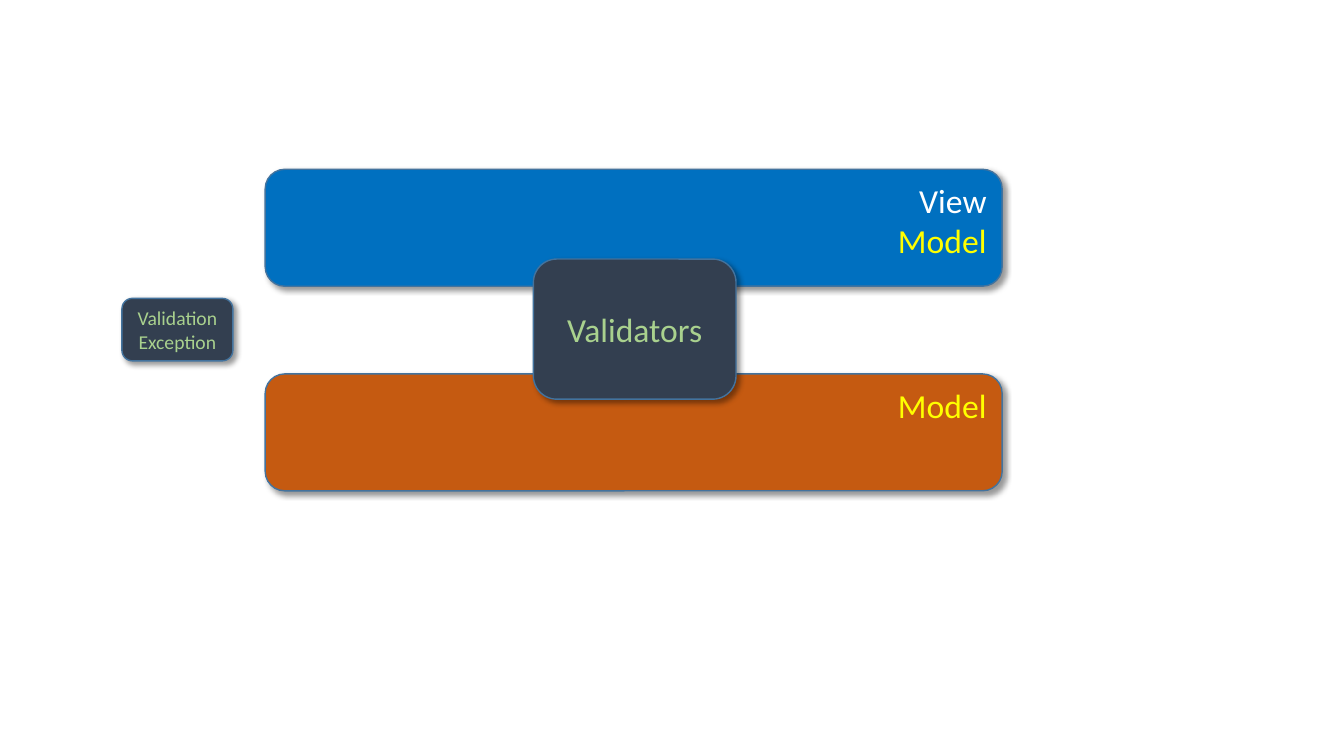
from lxml import etree
from pptx import Presentation
from pptx.dml.color import RGBColor
from pptx.enum.shapes import MSO_SHAPE
from pptx.enum.text import MSO_ANCHOR, PP_ALIGN
from pptx.oxml.ns import qn
from pptx.util import Inches, Pt

ROUNDED = MSO_SHAPE.ROUNDED_RECTANGLE
TOP, MIDDLE = MSO_ANCHOR.TOP, MSO_ANCHOR.MIDDLE
RIGHT, CENTER = PP_ALIGN.RIGHT, PP_ALIGN.CENTER

BLANK_LAYOUT = 6
FONT = "Calibri"
OUTLINE = "43739E"
WHITE, YELLOW, GREEN = "FFFFFF", "FFFF00", "A9D18E"
BLUE, ORANGE, SLATE = "0070C0", "C55A11", "333F50"

BAR_LEFT, BAR_WIDTH, BAR_HEIGHT = 2.63, 7.31, 1.16
# fill, top, lines of (text, colour)
LAYERS = [
    (ORANGE, 3.71, [("Model", YELLOW)]),
    (BLUE, 1.68, [("View", WHITE), ("Model", YELLOW)]),
]
# left, top, width, height, font size, lines
VALIDATION_BOXES = [
    (5.29, 2.57, 2.01, 1.39, 24, ["Validators"]),
    (1.21, 2.96, 1.1, 0.62, 14, ["Validation", "Exception"]),
]


def rgb(value):
    return RGBColor.from_string(value)


def add_shadow(shape):
    """Give the shape a soft black shadow towards the lower right."""
    shape.shadow.inherit = False
    effects = shape._element.spPr.find(qn("a:effectLst"))
    shadow = etree.SubElement(
        effects, qn("a:outerShdw"), blurRad=str(Pt(4)), dist=str(Pt(3)),
        dir=str(45 * 60000), algn="tl", rotWithShape="0")
    color = etree.SubElement(shadow, qn("a:srgbClr"), val="000000")
    etree.SubElement(color, qn("a:alpha"), val="40000")


def write_text(frame, lines, size=24, align=CENTER, anchor=MIDDLE):
    """Write one paragraph for each (text, colour) pair."""
    frame.word_wrap = True
    frame.vertical_anchor = anchor
    for index, (text, color) in enumerate(lines):
        paragraph = frame.add_paragraph() if index else frame.paragraphs[0]
        paragraph.alignment = align
        run = paragraph.add_run()
        run.text = text
        run.font.name = FONT
        run.font.size = Pt(size)
        run.font.color.rgb = rgb(color)


def add_box(slide, left, top, width, height, fill, lines, **text_format):
    shape = slide.shapes.add_shape(
        ROUNDED, Inches(left), Inches(top), Inches(width), Inches(height))
    shape.fill.solid()
    shape.fill.fore_color.rgb = rgb(fill)
    shape.line.color.rgb = rgb(OUTLINE)
    shape.line.width = Pt(1)
    add_shadow(shape)
    write_text(shape.text_frame, lines, **text_format)


def main():
    presentation = Presentation()
    presentation.slide_width = Inches(13.33)
    presentation.slide_height = Inches(7.5)
    slide = presentation.slides.add_slide(
        presentation.slide_layouts[BLANK_LAYOUT])

    for fill, top, lines in LAYERS:
        add_box(slide, BAR_LEFT, top, BAR_WIDTH, BAR_HEIGHT, fill, lines,
                align=RIGHT, anchor=TOP)
    for left, top, width, height, size, words in VALIDATION_BOXES:
        lines = [(word, GREEN) for word in words]
        add_box(slide, left, top, width, height, SLATE, lines, size=size)

    presentation.save("out.pptx")


if __name__ == "__main__":
    main()
